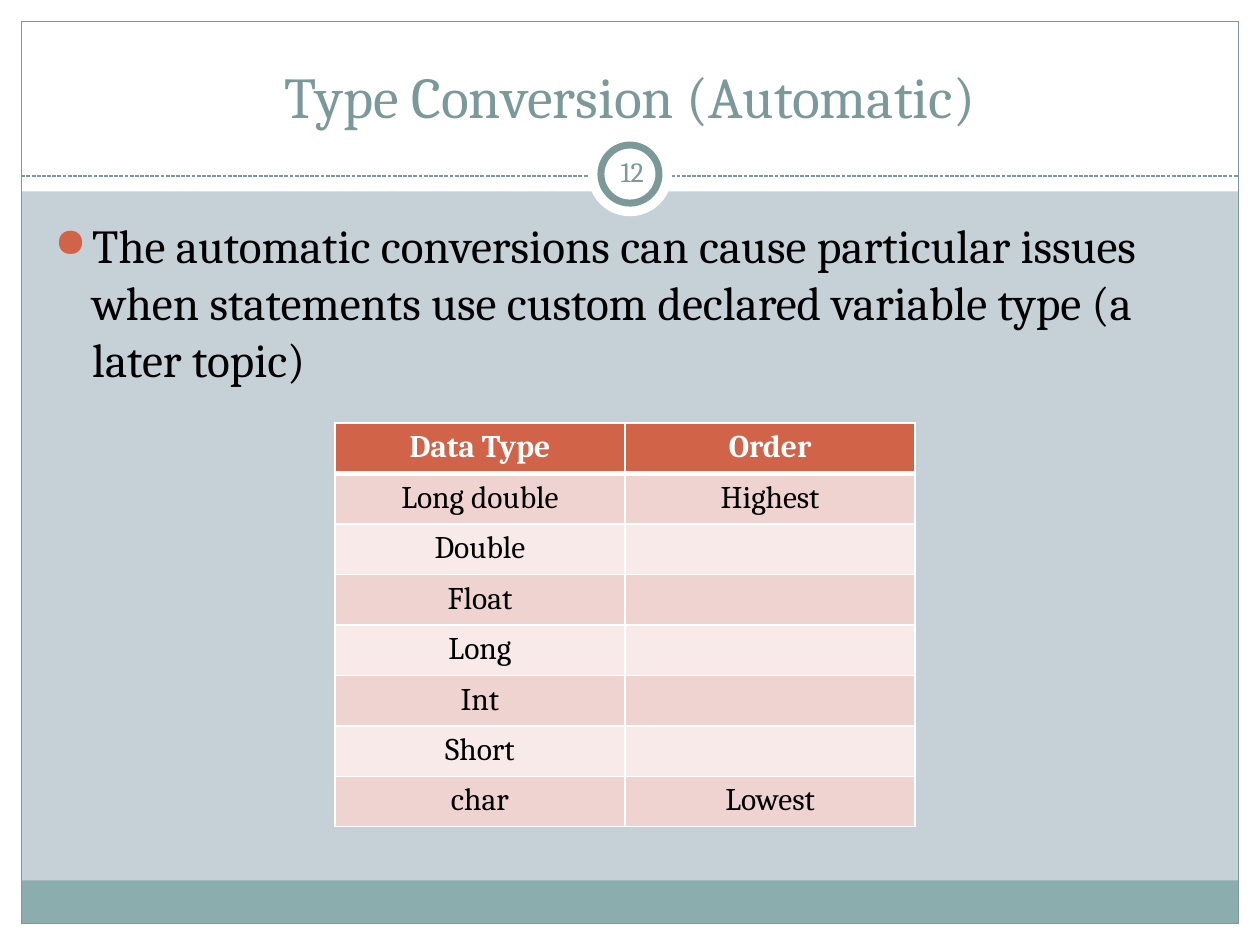
import pptx
import pptx.dml.color
import pptx.enum.dml
import pptx.enum.shapes
import pptx.enum.text
import pptx.oxml
import pptx.oxml.ns
import pptx.util
from lxml import etree

Cm = pptx.util.Cm
Pt = pptx.util.Pt
SHAPE = pptx.enum.shapes.MSO_SHAPE
ALIGN = pptx.enum.text.PP_ALIGN
ANCHOR = pptx.enum.text.MSO_ANCHOR

COLORS = {
    "background": "C5D1D7", "white": "FFFFFF", "black": "000000",
    "frame": "7C999A", "footer": "8CADAE", "accent": "D16349",
    "band_dark": "EED3D0", "band_light": "F7EAE9",
}
WIDTH, HEIGHT, MARGIN = 25.4, 19.05, 0.43
FONT = "Cambria"

ORDER_ROWS = [
    ("Data Type", "Order"),
    ("Long double", "Highest"),
    ("Double", ""),
    ("Float", ""),
    ("Long", ""),
    ("Int", ""),
    ("Short", ""),
    ("char", "Lowest"),
]


def rgb(name):
    return pptx.dml.color.RGBColor.from_string(COLORS[name])


def add_child(parent, tag, **attributes):
    child = etree.SubElement(parent, pptx.oxml.ns.qn(tag))
    for key, value in attributes.items():
        child.set(key, str(value))
    return child


class SlideBuilder:
    def __init__(self, slide, font):
        self.slide = slide
        self.font = font
        slide.background.fill.solid()
        slide.background.fill.fore_color.rgb = rgb("background")

    def shape(self, kind, left, top, width, height, fill=None, line=None, weight=0.75):
        shape = self.slide.shapes.add_shape(kind, Cm(left), Cm(top), Cm(width), Cm(height))
        shape.shadow.inherit = False
        if fill:
            shape.fill.solid()
            shape.fill.fore_color.rgb = rgb(fill)
        else:
            shape.fill.background()
        if line:
            shape.line.color.rgb = rgb(line)
            shape.line.width = Pt(weight)
        else:
            shape.line.fill.background()

    def dashed_rule(self, left, right, y, color):
        rule = self.slide.shapes.add_connector(
            pptx.enum.shapes.MSO_CONNECTOR.STRAIGHT, Cm(left), Cm(y), Cm(right), Cm(y))
        rule.line.color.rgb = rgb(color)
        rule.line.width = Pt(0.75)
        rule.line.dash_style = pptx.enum.dml.MSO_LINE.SQUARE_DOT
        add_child(rule.element.spPr, "a:effectLst")

    def add_run(self, paragraph, text, size, color, align, bold=False):
        paragraph.alignment = align
        run = paragraph.add_run()
        run.text = text
        run.font.name = self.font
        run.font.size = Pt(size)
        run.font.bold = bold
        run.font.color.rgb = rgb(color)

    def text(self, left, top, width, height, text, size, color,
             align=ALIGN.CENTER, anchor=ANCHOR.MIDDLE, inset=0.25):
        """Add a wrapped text box and return its paragraph."""
        box = self.slide.shapes.add_textbox(Cm(left), Cm(top), Cm(width), Cm(height))
        frame = box.text_frame
        frame.word_wrap = True
        frame.vertical_anchor = anchor
        frame.margin_left = frame.margin_right = Cm(inset)
        paragraph = frame.paragraphs[0]
        self.add_run(paragraph, text, size, color, align)
        return paragraph

    def bullet(self, left, top, width, height, text, size, color):
        paragraph = self.text(left, top, width, height, text, size, color,
                              ALIGN.LEFT, ANCHOR.TOP)
        paragraph.space_before = Pt(5)
        properties = paragraph._p.get_or_add_pPr()
        properties.set("marL", str(Cm(0.76)))
        properties.set("indent", str(-Cm(0.76)))
        bullet_color = add_child(properties, "a:buClr")
        add_child(bullet_color, "a:srgbClr", val=COLORS["accent"])
        add_child(properties, "a:buSzPct", val=85000)
        add_child(properties, "a:buChar", char="●")

    def cell_borders(self, cell, weights):
        """Draw white borders; weights maps side tags to points."""
        properties = cell._tc.get_or_add_tcPr()
        for position, (side, weight) in enumerate(weights.items()):
            border = pptx.oxml.parse_xml(
                f'<a:{side} {pptx.oxml.ns.nsdecls("a")} w="{Pt(weight)}">'
                f'<a:solidFill><a:srgbClr val="{COLORS["white"]}"/></a:solidFill></a:{side}>')
            properties.insert(position, border)

    def table(self, left, top, column_width, row_height, rows):
        columns = len(rows[0])
        table = self.slide.shapes.add_table(
            len(rows), columns, Cm(left), Cm(top),
            Cm(column_width * columns), Cm(row_height * len(rows))).table
        for column in table.columns:
            column.width = Cm(column_width)
        for r, labels in enumerate(rows):
            table.rows[r].height = Cm(row_height)
            header = r == 0
            fill = "accent" if header else ("band_light", "band_dark")[r % 2]
            for c, label in enumerate(labels):
                cell = table.cell(r, c)
                cell.fill.solid()
                cell.fill.fore_color.rgb = rgb(fill)
                self.cell_borders(cell, {"lnL": 1, "lnR": 1, "lnT": 3 if r == 1 else 1,
                                         "lnB": 3 if header else 1})
                if label:
                    self.add_run(cell.text_frame.paragraphs[0], label, 18,
                                 "white" if header else "black", ALIGN.CENTER, header)


def main():
    deck = pptx.Presentation()
    deck.slide_width, deck.slide_height = Cm(WIDTH), Cm(HEIGHT)
    page = SlideBuilder(deck.slides.add_slide(deck.slide_layouts[6]), FONT)

    inner_width, inner_height = WIDTH - 2 * MARGIN, HEIGHT - 2 * MARGIN
    white_bands = [
        (0, HEIGHT - MARGIN, WIDTH, MARGIN),
        (0, 0, WIDTH, 3.86),
        (0, 0, MARGIN, HEIGHT),
        (WIDTH - MARGIN, 0, MARGIN, HEIGHT),
    ]
    for band in white_bands:
        page.shape(SHAPE.RECTANGLE, *band, fill="white")
    page.shape(SHAPE.RECTANGLE, MARGIN, 17.75, inner_width, 0.87, fill="footer")
    page.shape(SHAPE.RECTANGLE, MARGIN, MARGIN, inner_width, inner_height, line="frame")
    page.dashed_rule(MARGIN, WIDTH - MARGIN, 3.55, "frame")

    badge_y = 3.51
    for diameter, ring in ((1.7, None), (1.17, "frame")):
        page.shape(SHAPE.OVAL, (WIDTH - diameter) / 2, badge_y - diameter / 2,
                   diameter, diameter, fill="white", line=ring, weight=4)

    page.text(0.85, 0.64, 23.7, 2.11, "Type Conversion (Automatic)", 33, "frame",
              anchor=ANCHOR.BOTTOM)
    page.text(12.11, 2.85, 1.27, 1.22, "12", 16, "frame", inset=0.13)
    page.bullet(0.85, 4.24, 23.62, 12.7,
                "The automatic conversions can cause particular issues when statements "
                "use custom declared variable type (a later topic)", 27, "black")
    page.table(6.75, 8.53, 5.85, 0.99, ORDER_ROWS)

    deck.save("out.pptx")


if __name__ == "__main__":
    main()
